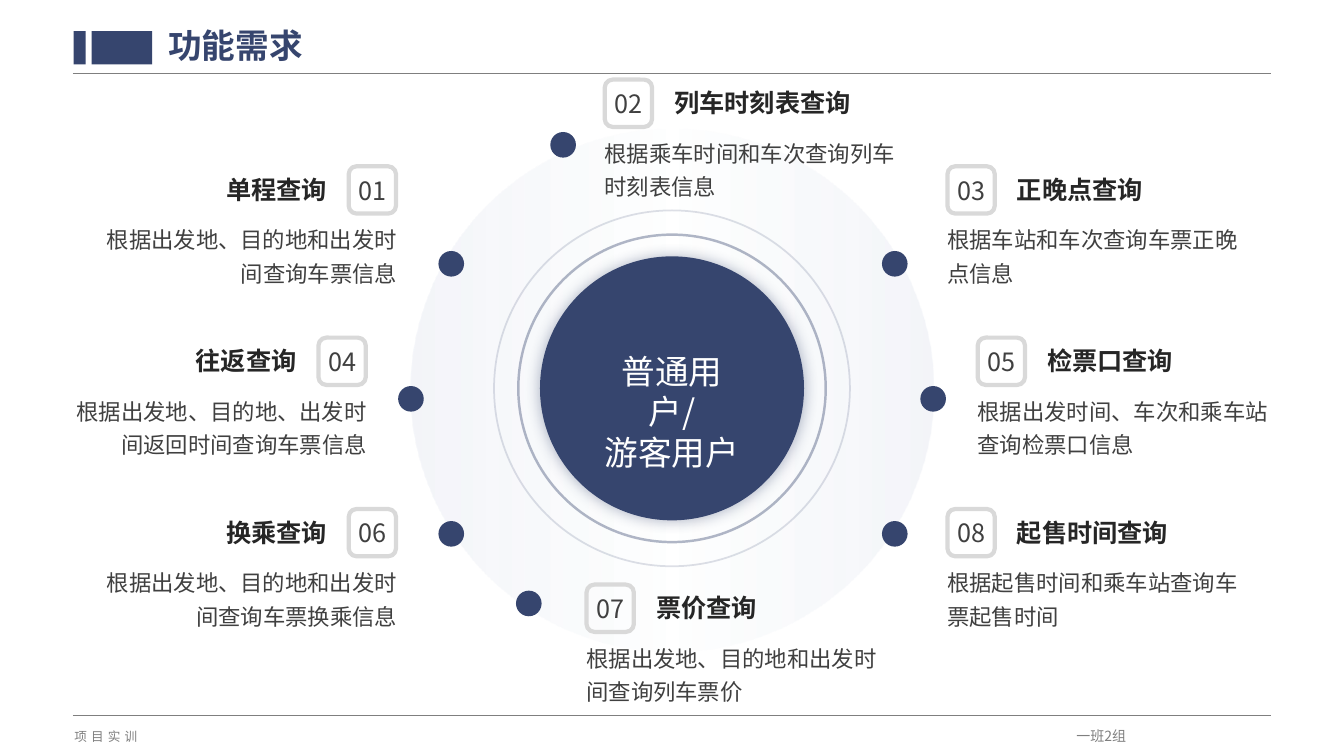
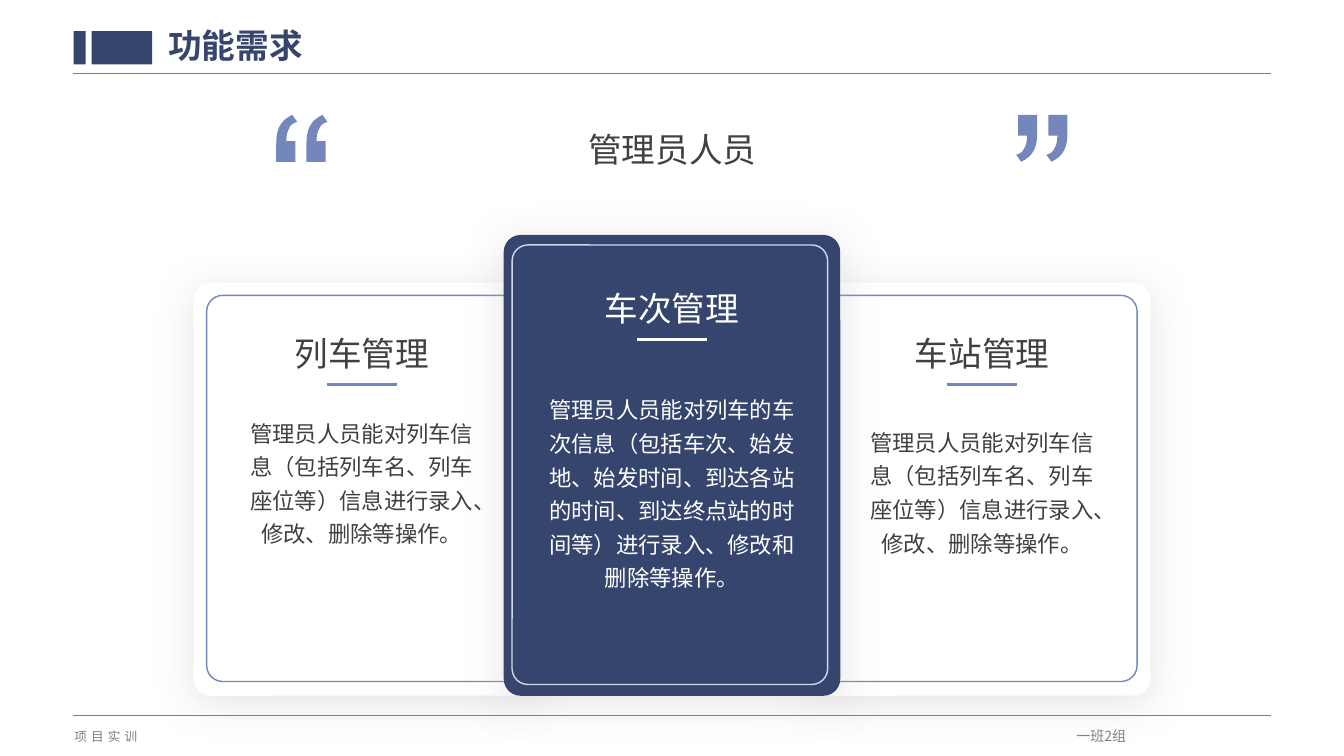
from lxml.etree import SubElement
from pptx import Presentation
from pptx.dml.color import RGBColor
from pptx.enum.shapes import MSO_CONNECTOR, MSO_SHAPE
from pptx.enum.text import MSO_ANCHOR, PP_ALIGN
from pptx.oxml.ns import qn
from pptx.util import Pt

NAVY = RGBColor(0x36, 0x45, 0x6E)
BLUE = RGBColor(0x74, 0x87, 0xBB)
PALE = RGBColor(0xD1, 0xD7, 0xE8)
WHITE = RGBColor(0xFF, 0xFF, 0xFF)
BLACK = RGBColor(0x26, 0x26, 0x26)
DARK = RGBColor(0x40, 0x40, 0x40)
GREY = RGBColor(0x7F, 0x7F, 0x7F)
SILVER = RGBColor(0xBF, 0xBF, 0xBF)
LIGHT = RGBColor(0xD9, 0xD9, 0xD9)
FONT = "Noto Sans CJK SC"
LEFT, CENTER, RIGHT = PP_ALIGN.LEFT, PP_ALIGN.CENTER, PP_ALIGN.RIGHT


def draw(s, kind, box, fill=None, line=None, weight=1, alpha=100, shadow=None):
    """Add a preset shape; alpha applies to the line, shadow is
    (colour, blur, distance, degrees)."""
    sp = s.shapes.add_shape(kind, *map(Pt, box))
    sp.shadow.inherit = False
    if fill is None:
        sp.fill.background()
    else:
        sp.fill.solid()
        sp.fill.fore_color.rgb = fill
    if line is None:
        sp.line.fill.background()
    else:
        sp.line.color.rgb = line
        sp.line.width = Pt(weight)
        clr = sp._element.spPr.find(qn("a:ln")).find(".//" + qn("a:srgbClr"))
        SubElement(clr, qn("a:alpha"), val=str(alpha * 1000))
    if shadow:
        color, blur, dist, angle = shadow
        effects = sp._element.spPr.find(qn("a:effectLst"))
        outer = SubElement(effects, qn("a:outerShdw"), blurRad=str(Pt(blur)),
                           dist=str(Pt(dist)), dir=str(angle * 60000),
                           algn="ctr", rotWithShape="0")
        clr = SubElement(outer, qn("a:srgbClr"), val=str(color))
        SubElement(clr, qn("a:alpha"), val="40000")
    return sp


def write(sp, lines, size, color, bold=False, align=LEFT, spacing=1.0,
          anchor=MSO_ANCHOR.TOP, font=FONT, tracking=0):
    tf = sp.text_frame
    tf.word_wrap = True
    tf.vertical_anchor = anchor
    for i, text in enumerate(lines):
        p = tf.add_paragraph() if i else tf.paragraphs[0]
        p.alignment = align
        p.line_spacing = spacing
        r = p.add_run()
        r.text = text
        r.font.size = Pt(size)
        r.font.bold = bold
        r.font.color.rgb = color
        r.font.name = font
        rPr = r._r.get_or_add_rPr()
        SubElement(rPr, qn("a:ea"), typeface=FONT)
        if tracking:
            rPr.set("spc", str(tracking * 100))


prs = Presentation()
prs.slide_width, prs.slide_height = Pt(960), Pt(540)
rules = []  # slide, left, right, y, colour, weight

# Shared title, marker and footers
for _ in range(2):
    s = prs.slides.add_slide(prs.slide_layouts[5])
    for left, width in ((52.6, 8.6), (65.5, 43.2)):
        draw(s, MSO_SHAPE.RECTANGLE, (left, 22.3, width, 23.8), NAVY)
    title = s.shapes.title
    title.left, title.top, title.width, title.height = map(Pt, (113, 18, 494, 31.7))
    write(title, ["功能需求"], 24, NAVY, bold=True, spacing=0.9,
          anchor=MSO_ANCHOR.MIDDLE)
    for y in (52.6, 511.2):
        rules.append((s, 52, 908, y, GREY, 0.5))
    sp = s.shapes.add_textbox(Pt(761.8), Pt(516.2), Pt(154.8), Pt(19.4))
    write(sp, ["一班2组"], 10, GREY)
    sp = s.shapes.add_textbox(Pt(46), Pt(517), Pt(379.4), Pt(18))
    write(sp, ["项目实训"], 9, GREY, font="Arial", tracking=3)

# Slide 1: rings around the user role
s = prs.slides[0]
disc = draw(s, MSO_SHAPE.OVAL, (293.5, 92, 373, 373))
disc.fill.gradient()
disc.fill.gradient_angle = 0
stops = disc._element.spPr.find(".//" + qn("a:gsLst"))
for stop in list(stops):
    stops.remove(stop)
for pos, alpha in ((0, 8), (50, 0), (100, 8)):
    stop = SubElement(stops, qn("a:gs"), pos=str(pos * 1000))
    clr = SubElement(stop, qn("a:srgbClr"), val=str(BLUE))
    SubElement(clr, qn("a:alpha"), val=str(alpha * 1000))

for d, style in (
    (254.2, dict(line=NAVY, weight=1.25, alpha=17)),
    (219.6, dict(line=NAVY, weight=1.75, alpha=38)),
    (188.6, dict(fill=NAVY, shadow=(NAVY, 10, 0, 0))),
):
    draw(s, MSO_SHAPE.OVAL, (480 - d / 2, 277.4 - d / 2, d, d), **style)
sp = s.shapes.add_textbox(Pt(424.1), Pt(247), Pt(111.6), Pt(94.3))
write(sp, ["普通用户/", "游客用户"], 24, WHITE, align=CENTER)

# Slide 1: queries as number, heading, text, side, badge and dot positions
ROW = [118.8 + 122.4 * i for i in range(3)]
DOT = [179.3 + 96.45 * i for i in range(3)]
queries = [
    ("01", "单程查询", "根据出发地、目的地和出发时间查询车票信息",
     RIGHT, (249.1, ROW[0]), (313.2, DOT[0])),
    ("02", "列车时刻表查询", "根据乘车时间和车次查询列车时刻表信息",
     LEFT, (432, 56.9), (393.1, 94.3)),
    ("03", "正晚点查询", "根据车站和车次查询车票正晚点信息",
     LEFT, (676.8, ROW[0]), (630, DOT[0])),
    ("04", "往返查询", "根据出发地、目的地、出发时间返回时间查询车票信息",
     RIGHT, (227.5, ROW[1]), (284.4, DOT[1])),
    ("05", "检票口查询", "根据出发时间、车次和乘车站查询检票口信息",
     LEFT, (698.4, ROW[1]), (657.4, DOT[1])),
    ("06", "换乘查询", "根据出发地、目的地和出发时间查询车票换乘信息",
     RIGHT, (249.1, ROW[2]), (313.2, DOT[2])),
    ("07", "票价查询", "根据出发地、目的地和出发时间查询列车票价",
     LEFT, (419, 417.6), (368.6, 421.9)),
    ("08", "起售时间查询", "根据起售时间和乘车站查询车票起售时间",
     LEFT, (676.8, ROW[2]), (630, DOT[2])),
]
for number, heading, text, align, (x, y), dot in queries:
    draw(s, MSO_SHAPE.OVAL, (*dot, 18.3, 18.3), NAVY)
    badge = draw(s, MSO_SHAPE.ROUNDED_RECTANGLE, (x, y, 33.8, 33.8),
                 line=LIGHT, weight=3)
    badge.text_frame.margin_left = badge.text_frame.margin_right = 0
    write(badge, [number], 18, DARK, align=CENTER, anchor=MSO_ANCHOR.MIDDLE)
    heading_dx, text_dx = (42.5, -7.2) if align == LEFT else (-164.6, -185.8)
    sp = s.shapes.add_textbox(Pt(x + heading_dx), Pt(y + 2.2), Pt(156), Pt(28.8))
    write(sp, [heading], 18, BLACK, bold=True, align=align)
    sp = s.shapes.add_textbox(Pt(x + text_dx), Pt(y + 34.6), Pt(227.5), Pt(53.3))
    write(sp, [text], 16, DARK, align=align, spacing=1.25)

# Slide 2: heading between quotation marks
s = prs.slides[1]
sp = s.shapes.add_textbox(Pt(256.3), Pt(81.4), Pt(447.8), Pt(40.3))
write(sp, ["管理员人员"], 24, DARK, align=CENTER, spacing=1.25)

# One mark: single points are straight edges, triples are Bezier curves
START = (11.5, 0)
EDGES = [
    [(15, 5)],
    [(12.2, 5.8), (10.1, 7.2), (9.4, 9.4)],
    [(7.9, 11.5), (7.2, 15.1), (7.2, 18.7)],
    [(13.7, 18.7)], [(13.7, 33.5)], [(0, 33.5)], [(0, 21.6)],
    [(0, 15.8), (0.7, 11.5), (2.2, 8.6)],
    [(4.3, 4.3), (7.2, 2.2), START],
]
outline = [START]
for edge in EDGES:
    if len(edge) == 1:
        outline += edge
        continue
    curve = [outline[-1], *edge]
    for t in (0.25, 0.5, 0.75, 1):
        weights = ((1 - t) ** 3, 3 * t * (1 - t) ** 2, 3 * t * t * (1 - t), t ** 3)
        outline.append(tuple(sum(w * c[k] for w, c in zip(weights, curve))
                             for k in (0, 1)))

# The closing marks are the opening ones turned by half a circle
for x, y, sign in ((197.3, 82.1, 1), (762.5, 115.6, -1)):
    marks = [[(Pt(x + sign * (px + dx)), Pt(y + sign * py)) for px, py in outline]
             for dx in (0, 21.6)]
    builder = s.shapes.build_freeform(*marks[0][0])
    builder.add_line_segments(marks[0][1:], close=True)
    builder.move_to(*marks[1][0])
    builder.add_line_segments(marks[1][1:], close=True)
    sp = builder.convert_to_shape()
    sp.shadow.inherit = False
    sp.fill.solid()
    sp.fill.fore_color.rgb = BLUE
    sp.line.fill.background()

# Slide 2: cards, the middle one on top
SIDE_TEXT = "管理员人员能对列车信息（包括列车名、列车座位等）信息进行录入、修改、删除等操作。"
MIDDLE_TEXT = ("管理员人员能对列车的车次信息（包括车次、始发地、始发时间、"
               "到达各站的时间、到达终点站的时间等）进行录入、修改和删除等操作。")
SIDE = (WHITE, BLUE, BLUE, DARK)
MIDDLE = (NAVY, PALE, WHITE, WHITE)
cards = [  # centre, top, frame, heading and its top, text and its top and width
    (258.5, 202.3, (147.6, 211, 229, 275.8), "列车管理", 234,
     SIDE_TEXT, 291.6, 177, SIDE),
    (701.5, 202.3, (583.2, 211, 229, 275.8), "车站管理", 234,
     SIDE_TEXT, 298.1, 177, SIDE),
    (480, 167.8, (365.8, 175, 225.4, 313.9), "车次管理", 202.3,
     MIDDLE_TEXT, 275, 195.8, MIDDLE),
]
for cx, top, frame, heading, heading_y, text, text_y, text_w, colors in cards:
    fill, frame_color, rule_color, text_color = colors
    card = draw(s, MSO_SHAPE.ROUNDED_RECTANGLE, (cx - 120.2, top, 240.4, 497 - top),
                fill, shadow=(SILVER, 30, 5, 90))
    inner = draw(s, MSO_SHAPE.ROUNDED_RECTANGLE, frame, line=frame_color)
    card.adjustments[0] = inner.adjustments[0] = 0.05
    sp = s.shapes.add_textbox(Pt(cx - 68.5), Pt(heading_y), Pt(137), Pt(36))
    write(sp, [heading], 24, text_color, align=CENTER)
    sp = s.shapes.add_textbox(Pt(cx - text_w / 2), Pt(text_y), Pt(text_w), Pt(102))
    write(sp, [text], 16, text_color, align=CENTER, spacing=1.25)
    rules.append((s, cx - 25, cx + 25, heading_y + 40.5, rule_color, 2.25))

# Horizontal rules of both slides
for s, left, right, y, color, weight in rules:
    rule = s.shapes.add_connector(MSO_CONNECTOR.STRAIGHT, Pt(left), Pt(y),
                                  Pt(right), Pt(y))
    rule.line.color.rgb = color
    rule.line.width = Pt(weight)
    SubElement(rule._element.spPr, qn("a:effectLst"))

prs.save("out.pptx")
